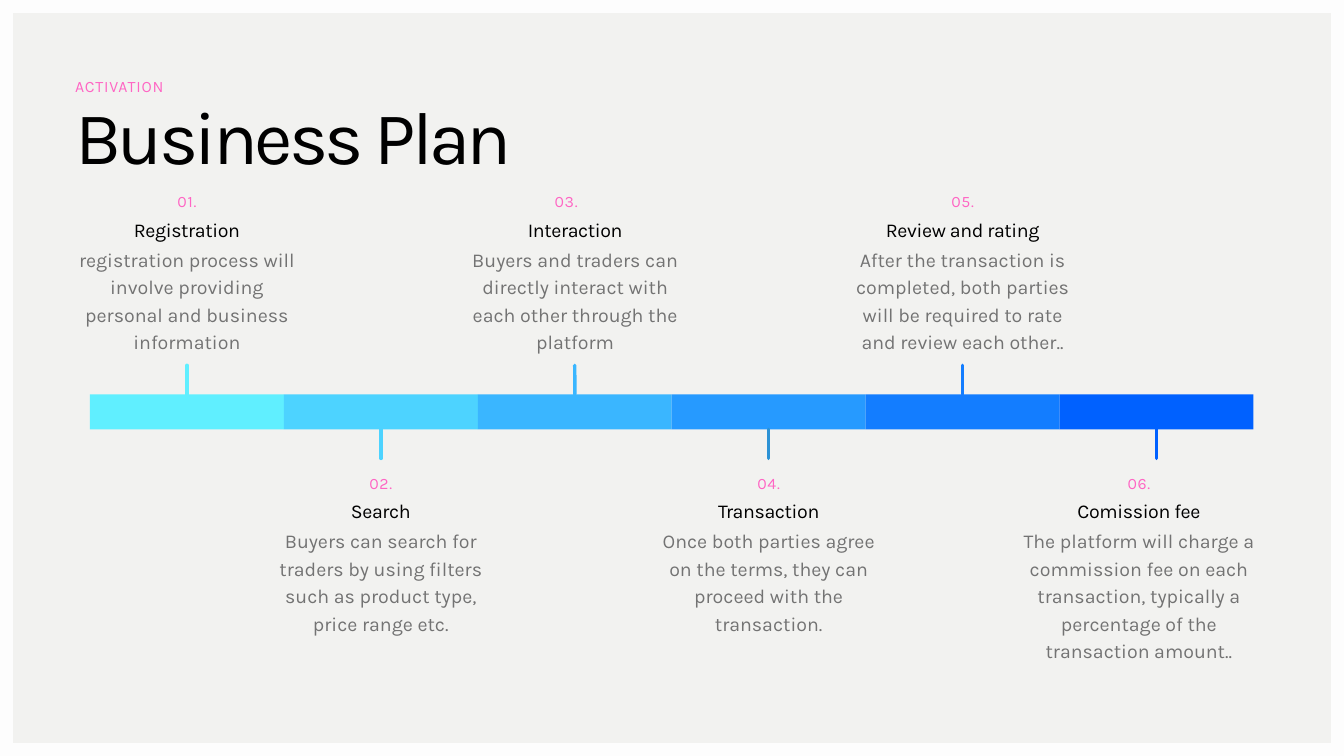
from pptx import Presentation
from pptx.dml.color import RGBColor
from pptx.enum.shapes import MSO_CONNECTOR, MSO_SHAPE
from pptx.enum.text import MSO_ANCHOR, MSO_AUTO_SIZE, PP_ALIGN
from pptx.oxml.ns import qn
from pptx.util import Cm, Pt
from lxml.etree import SubElement

FONT = "Karla"
WIDTH, HEIGHT = 50.8, 28.58
BORDER = 0.49
COLORS = {
    "background": "F2F2F0",
    "frame": "FDFDFD",
    "accent": "FF66C4",
    "heading": "000000",
    "body": "737373",
}

# size, line spacing, letter spacing (points), colour
STYLES = {
    "title": (80, 88, -4, "heading"),
    "label": (17, 23.8, 0.8, "accent"),
    "step": (21, 29.4, -0.4, "heading"),
    "body": (21, 29.4, 0, "body"),
}

# Timeline bar, in cm
BAR_LEFT, BAR_TOP, BAR_HEIGHT = 3.4, 14.91, 1.32
SEGMENT = 7.33
TICK = 1.1
TOP_ABOVE, TOP_BELOW = 7.14, 17.78
TEXT_WIDTH = 8.38

# heading, description, segment colour, tick colour
STEPS = [
    ("Registration",
     "registration process will involve providing personal and business information",
     "60EFFF", "60EFFF"),
    ("Search",
     "Buyers can search for traders by using filters such as product type, price range etc.",
     "4DD3FF", "4DD3FF"),
    ("Interaction",
     "Buyers and traders can directly interact with each other through the platform",
     "3AB6FF", "3AB6FF"),
    ("Transaction",
     "Once both parties agree on the terms, they can proceed with the transaction.",
     "269AFF", "2C92D5"),
    ("Review and rating",
     "After the transaction is completed, both parties will be required to rate and review each other..",
     "137DFF", "137DFF"),
    ("Comission fee",
     "The platform will charge a commission fee on each transaction, typically a percentage of the transaction amount..",
     "0061FF", "0061FF"),
]
# Steps whose text is not centred on the segment: text centre, number centre, width
TEXT_PLACES = {3: (21.74, 21.4, TEXT_WIDTH), 6: (43.05, 43.05, 9.75)}


def rgb(value):
    return RGBColor.from_string(value)


def write(shape, text, style, align):
    size, line, spacing, color = STYLES[style]
    tf = shape.text_frame
    tf.word_wrap = True
    tf.auto_size = MSO_AUTO_SIZE.NONE
    tf.vertical_anchor = MSO_ANCHOR.TOP
    tf.margin_left = tf.margin_right = tf.margin_top = tf.margin_bottom = 0
    tf.text = text
    p = tf.paragraphs[0]
    p.alignment = align
    p.line_spacing = Pt(line)
    r = p.runs[0]
    r.font.name = FONT
    r.font.size = Pt(size)
    r.font.color.rgb = rgb(COLORS[color])
    r.font._element.set("spc", str(round(spacing * 100)))


def add_text(s, text, style, left, top, width, height, align=PP_ALIGN.CENTER):
    box = s.shapes.add_textbox(Cm(left), Cm(top), Cm(width), Cm(height))
    write(box, text, style, align)


def add_block(s, kind, left, top, width, height, color):
    sp = s.shapes.add_shape(kind, Cm(left), Cm(top), Cm(width), Cm(height))
    sp.shadow.inherit = False
    sp.fill.solid()
    sp.fill.fore_color.rgb = rgb(color)
    sp.line.fill.background()
    return sp


def add_tick(s, segment, above, x, color):
    """Draw a round-ended line out of the middle of a segment's top or bottom side."""
    start = BAR_TOP if above else BAR_TOP + BAR_HEIGHT
    end = start - TICK if above else start + TICK
    tick = s.shapes.add_connector(MSO_CONNECTOR.STRAIGHT, Cm(x), Cm(start), Cm(x), Cm(end))
    tick.begin_connect(segment, 0 if above else 2)
    tick.line.color.rgb = rgb(color)
    tick.line.width = Pt(3.75)
    tick.line._get_or_add_ln().set("cap", "rnd")
    SubElement(tick._element.spPr, qn("a:effectLst"))


def add_step_text(s, number, heading, text, center, top):
    center, number_center, width = TEXT_PLACES.get(number, (center, center, TEXT_WIDTH))
    left = center - width / 2
    add_text(s, f"{number:02}.", "label", number_center - 1.16, top, 2.32, 0.79)
    add_text(s, heading, "step", left, top + 0.94, width, 0.99)
    add_text(s, text, "body", left, top + 2.08, width, 5.1 if number == 6 else 4.09)


def add_header(s):
    title = s.shapes.title
    title.left, title.top, title.width, title.height = Cm(2.84), Cm(3.68), Cm(45.06), Cm(3.25)
    write(title, "Business Plan", "title", PP_ALIGN.LEFT)
    add_text(s, "ACTIVATION", "label", 2.84, 2.79, 45.06, 0.79, PP_ALIGN.LEFT)


def add_timeline(s):
    for i, (heading, text, color, tick_color) in enumerate(STEPS):
        left = BAR_LEFT + i * SEGMENT
        center = left + SEGMENT / 2
        above = i % 2 == 0
        segment = add_block(s, MSO_SHAPE.RECTANGLE, left, BAR_TOP, SEGMENT, BAR_HEIGHT, color)
        add_tick(s, segment, above, center, tick_color)
        add_step_text(s, i + 1, heading, text, center, TOP_ABOVE if above else TOP_BELOW)


def main():
    prs = Presentation()
    prs.slide_width, prs.slide_height = Cm(WIDTH), Cm(HEIGHT)
    s = prs.slides.add_slide(prs.slide_layouts[5])
    s.background.fill.solid()
    s.background.fill.fore_color.rgb = rgb(COLORS["background"])
    frame = add_block(s, MSO_SHAPE.FRAME, 0, 0, WIDTH, HEIGHT, COLORS["frame"])
    frame.adjustments[0] = BORDER / HEIGHT
    add_header(s)
    add_timeline(s)
    prs.save("out.pptx")


if __name__ == "__main__":
    main()
